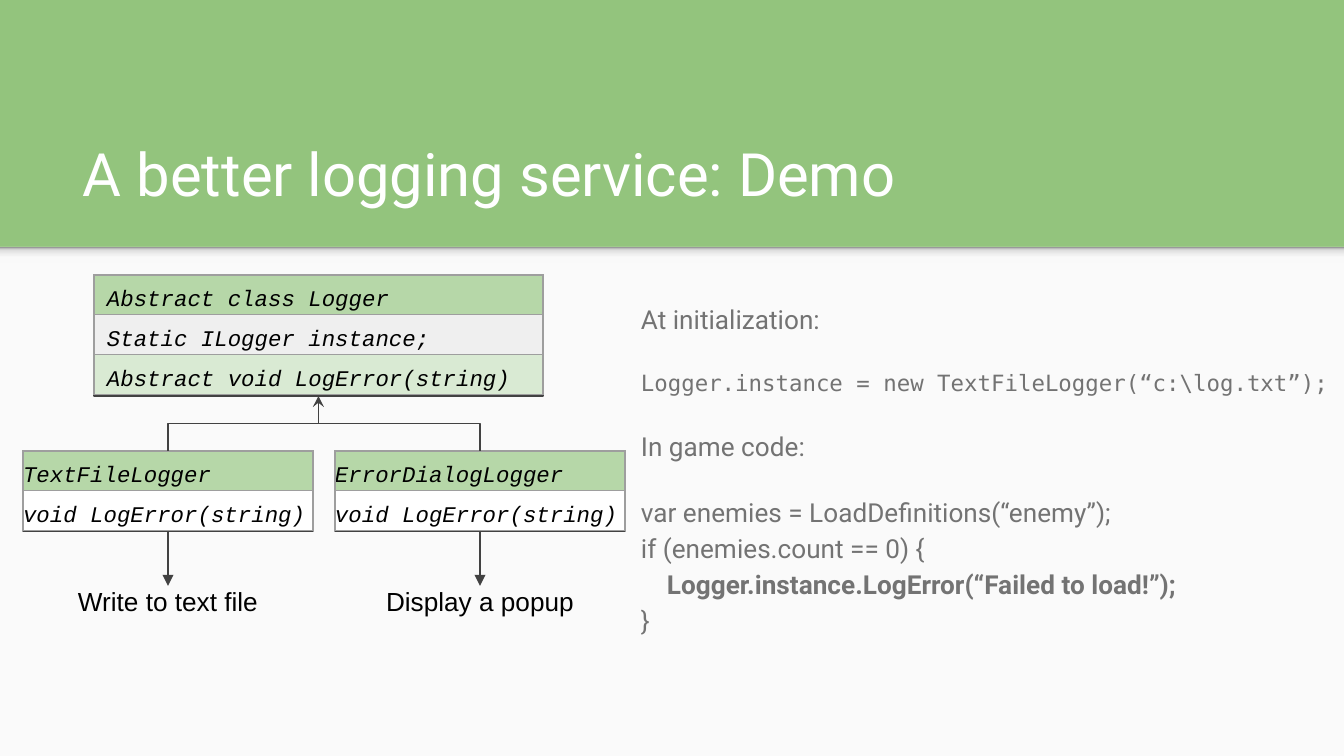
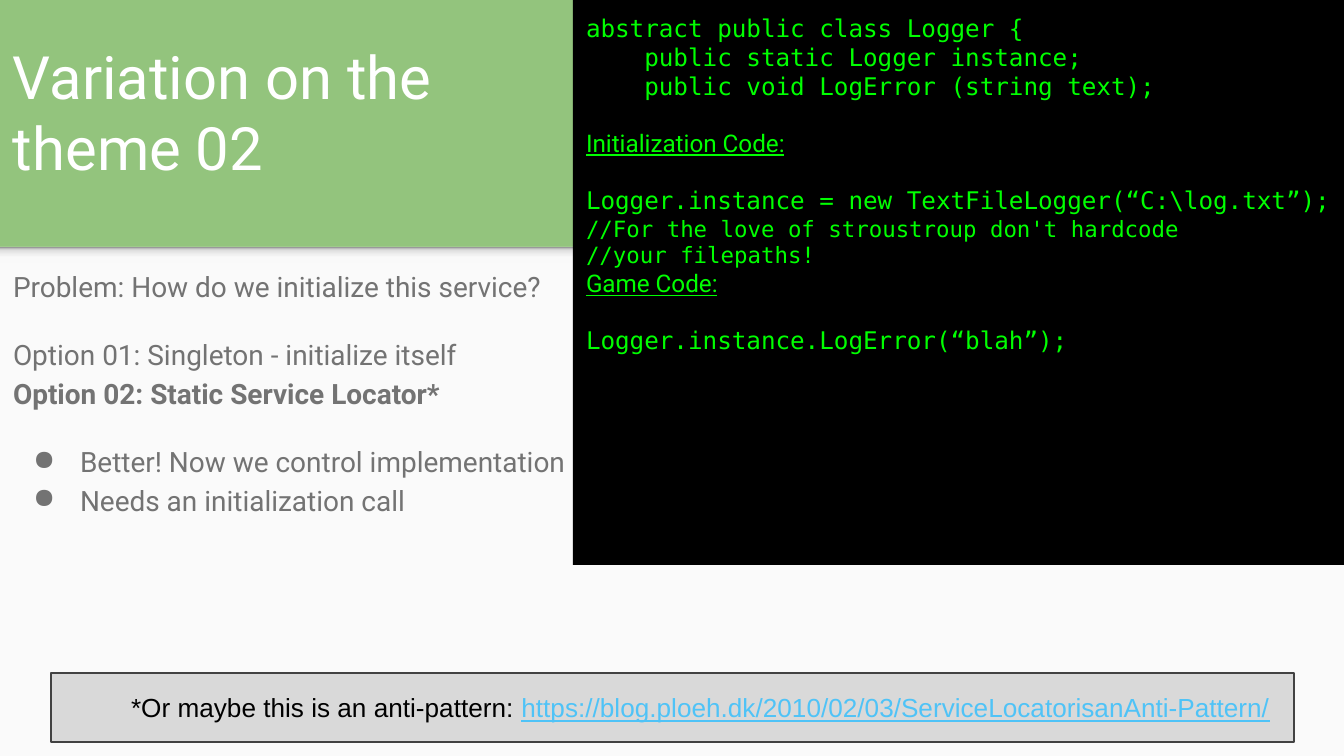
from copy import deepcopy

from lxml import etree
from pptx import Presentation
from pptx import util as u
from pptx.dml.color import RGBColor
from pptx.enum import shapes, text
from pptx.oxml.ns import qn

PX = 914400 / 134.4
WIDTH, HEIGHT = 1344, 756
PANEL_TOP = 247
INSET = 13

GREEN = RGBColor(0x93, 0xC4, 0x7D)
PANEL = RGBColor(0xFA, 0xFA, 0xFA)
WHITE = RGBColor(0xFF, 0xFF, 0xFF)
BLACK = RGBColor(0x00, 0x00, 0x00)
GRAY = RGBColor(0x73, 0x73, 0x73)
DARK = RGBColor(0x42, 0x42, 0x42)
BORDER = RGBColor(0x9E, 0x9E, 0x9E)
HEADER = RGBColor(0xB6, 0xD7, 0xA8)
FIELD = RGBColor(0xEF, 0xEF, 0xEF)
METHOD = RGBColor(0xD9, 0xEA, 0xD3)
NOTE = RGBColor(0xD9, 0xD9, 0xD9)
TERMINAL = RGBColor(0x00, 0xFF, 0x00)
LINK = RGBColor(0x4F, 0xC3, 0xF7)
SHADOW_STOPS = ((0, "F9F9F9"), (36, "F9F9F9"), (80, "DEDEDE"), (100, "999999"))


def style(name, size, color, **more):
    return {"name": name, "size": u.Pt(size), "color": color, **more}


TITLE = style("Roboto", 32, WHITE)
BODY = style("Roboto", 14, GRAY)
BODY_CODE = style("DejaVu Sans Mono", 12, GRAY)
OPTIONS = style("Roboto", 15, GRAY)
MEMBER = style("Courier New", 12, BLACK, italic=True)
LABEL = style("Arial", 14, BLACK)
CODE = style("DejaVu Sans Mono", 13, TERMINAL)
COMMENT = style("DejaVu Sans Mono", 12, TERMINAL)
CODE_HEADING = style("Roboto", 13, TERMINAL, underline=True)


def px(value):
    return u.Emu(round(value * PX))


def add_xml(parent, tag, **attributes):
    return etree.SubElement(parent, qn(tag), {k: str(v) for k, v in attributes.items()})


def set_all(target, values):
    for name, value in values.items():
        setattr(target, name, value)


# Text
def add_run(paragraph, words, font):
    for index, line in enumerate(words.split("\n")):
        if index:
            paragraph.add_line_break()
            paragraph._p[-1].append(deepcopy(run._r.rPr))
        run = paragraph.add_run()
        run.text = line
        for name, value in font.items():
            if name == "color":
                run.font.color.rgb = value
            else:
                setattr(run.font, name, value)


def para(*runs, bullet=None, indent=None, **layout):
    return {"runs": runs, "bullet": bullet, "indent": indent, "layout": layout}


def write(frame, paragraphs, anchor=text.MSO_ANCHOR.TOP):
    set_all(frame, {"word_wrap": True, "vertical_anchor": anchor,
                    "margin_left": px(INSET), "margin_right": px(INSET),
                    "margin_top": px(INSET), "margin_bottom": px(INSET)})
    for index, item in enumerate(paragraphs):
        paragraph = frame.add_paragraph() if index else frame.paragraphs[0]
        props = paragraph._p.get_or_add_pPr()
        if item["indent"]:
            left, first = item["indent"]
            props.set("marL", str(px(left)))
            props.set("indent", str(px(first)))
        if item["bullet"]:
            add_xml(add_xml(props, "a:buClr"), "a:srgbClr", val=GRAY)
            add_xml(props, "a:buChar", char=item["bullet"])
        set_all(paragraph, {"alignment": text.PP_ALIGN.LEFT, **item["layout"]})
        for words, font in item["runs"]:
            add_run(paragraph, words, font)


def add_text(slide, box, paragraphs, anchor=text.MSO_ANCHOR.TOP):
    holder = slide.shapes.add_textbox(*map(px, box))
    write(holder.text_frame, paragraphs, anchor)
    return holder


# Shapes and lines
def add_rect(slide, box, fill=None, outlined=False):
    rect = slide.shapes.add_shape(shapes.MSO_SHAPE.RECTANGLE, *map(px, box))
    rect.shadow.inherit = False
    if fill is not None:
        rect.fill.solid()
        rect.fill.fore_color.rgb = fill
    if outlined:
        rect.line.color.rgb = DARK
        rect.line.width = u.Pt(0.75)
    else:
        rect.line.fill.background()
    return rect


def join(slide, kind, start, end, head=None):
    """Run a line from the bottom or top of start to the facing side of end."""
    downward = start.top < end.top
    link = slide.shapes.add_connector(kind, 0, 0, 0, 0)
    link.begin_connect(start, 2 if downward else 0)
    link.end_connect(end, 0 if downward else 2)
    link.line.color.rgb = DARK
    link.line.width = u.Pt(0.75)
    if head:
        add_xml(link.line._get_or_add_ln(), "a:tailEnd", type=head)
    add_xml(link._element.spPr, "a:effectLst")
    return link


def join_upward(slide, child, parent, head=None):
    """Elbow that leaves the child vertically, turned a quarter to do so."""
    link = join(slide, shapes.MSO_CONNECTOR.ELBOW, child, parent, head)
    x1, y1, x2, y2 = link.begin_x, link.begin_y, link.end_x, link.end_y
    rise, run = abs(y2 - y1), abs(x2 - x1)
    set_all(link, {"left": (x1 + x2 - rise) // 2, "top": (y1 + y2 - run) // 2,
                   "width": rise, "height": run})
    turn = link._element.spPr.find(qn("a:xfrm"))
    for name in ("flipH", "flipV"):
        turn.attrib.pop(name, None)
    turn.set("rot", str((270 if x1 < x2 else 90) * 60000))
    if x1 > x2:
        turn.set("flipH", "1")


# Class tables
def add_class(slide, box, members, row_heights, inset):
    backing = add_rect(slide, box, GRAY, outlined=True)
    left, top, width, _ = box
    grid = slide.shapes.add_table(
        len(members), 1, *map(px, (left, top, width, sum(row_heights)))).table
    set_all(grid, {"first_row": False, "horz_banding": False})
    for index, (member, fill) in enumerate(members):
        grid.rows[index].height = px(row_heights[index])
        cell = grid.cell(index, 0)
        write(cell.text_frame, [para((member, MEMBER))])
        set_all(cell, {"margin_left": px(inset), "margin_right": px(inset),
                       "margin_top": px(INSET), "margin_bottom": 0})
        props = cell._tc.get_or_add_tcPr()
        for side in ("L", "R", "T", "B"):
            edge = add_xml(props, f"a:ln{side}", w=u.Pt(0.75))
            add_xml(add_xml(edge, "a:solidFill"), "a:srgbClr", val=BORDER)
        cell.fill.solid()
        cell.fill.fore_color.rgb = fill
    return backing


# Shared slide frame
def add_slide(deck, title, title_box):
    slide = deck.slides.add_slide(deck.slide_layouts[6])
    slide.background.fill.solid()
    slide.background.fill.fore_color.rgb = GREEN
    add_rect(slide, (0, PANEL_TOP, WIDTH, HEIGHT - PANEL_TOP), PANEL)
    shade = add_rect(slide, (0, PANEL_TOP, WIDTH, 16))
    shade.fill.gradient()
    shade.fill.gradient_angle = 90
    stops = shade._element.spPr.find(".//" + qn("a:gsLst"))
    stops.clear()
    for position, color in SHADOW_STOPS:
        add_xml(add_xml(stops, "a:gs", pos=position * 1000), "a:srgbClr", val=color)
    add_text(slide, title_box, [para((title, TITLE))], text.MSO_ANCHOR.BOTTOM)
    return slide


def add_demo(deck):
    slide = add_slide(deck, "A better logging service: Demo", (70, 109, 1208, 113))

    # Usage on the right
    spaced = {"line_spacing": 1.15, "space_before": u.Pt(16)}
    add_text(slide, (628, 286, 716, 398), [
        para(("At initialization:", BODY), line_spacing=1.15),
        para(("Logger.instance = new TextFileLogger(“c:\\log.txt”);", BODY_CODE), **spaced),
        para(("In game code:", BODY), **spaced),
        para(("var enemies = LoadDefinitions(“enemy”);\nif (enemies.count == 0) {\n    ", BODY),
             ("Logger.instance.LogError(“Failed to load!”);\n", {**BODY, "bold": True}),
             ("}", BODY), **spaced),
    ])

    # Base class, then each subclass with its effect
    logger = add_class(slide, (94, 275, 449, 121), [
        ("Abstract class Logger", HEADER),
        ("Static ILogger instance;", FIELD),
        ("Abstract void LogError(string)", METHOD),
    ], (39, 40, 39), INSET)
    subclasses = (("TextFileLogger", "Write to text file", None),
                  ("ErrorDialogLogger", "Display a popup", "stealth"))
    for index, (name, effect, head) in enumerate(subclasses):
        left = 23 + 312 * index
        subclass = add_class(slide, (left, 451, 290, 80), [
            (name, HEADER), ("void LogError(string)", WHITE)], (39, 39), 0)
        outcome = add_text(slide, (left, 586, 290, 31), [
            para((effect, LABEL), alignment=text.PP_ALIGN.CENTER)],
            text.MSO_ANCHOR.MIDDLE)
        join_upward(slide, subclass, logger, head)
        join(slide, shapes.MSO_CONNECTOR.STRAIGHT, subclass, outcome, "triangle")


def add_variation(deck):
    slide = add_slide(deck, "Variation on the theme 02", (0, 0, 625, 196))

    # Options
    loose = {"line_spacing": 1.15, "space_before": u.Pt(16)}
    bulleted = {"bullet": "●", "indent": (67, -47)}
    add_text(slide, (0, 251, 657, 442), [
        para(("Problem: How do we initialize this service?", OPTIONS), line_spacing=1.15),
        para(("Option 01: Singleton - initialize itself\n", OPTIONS),
             ("Option 02: Static Service Locator*", {**OPTIONS, "bold": True}), **loose),
        para(("Better! Now we control implementation", OPTIONS), **bulleted, **loose),
        para(("Needs an initialization call", OPTIONS), **bulleted, line_spacing=1.15),
    ])

    # Code panel
    blank_line = {"space_before": u.Pt(15)}
    terminal = add_rect(slide, (573, 0, 771, 565), BLACK)
    write(terminal.text_frame, [
        para(("abstract public class Logger {\n"
              "    public static Logger instance;\n"
              "    public void LogError (string text);", CODE)),
        para(("Initialization Code:", CODE_HEADING), **blank_line),
        para(("Logger.instance = new TextFileLogger(“C:\\log.txt”);", CODE), **blank_line),
        para(("//For the love of stroustroup don't hardcode", COMMENT)),
        para(("//your filepaths!\n", COMMENT), ("Game Code:", CODE_HEADING)),
        para(("Logger.instance.LogError(“blah”);", CODE), **blank_line),
    ])

    # Footnote
    footnote = add_rect(slide, (51, 673, 1243, 69), NOTE, outlined=True)
    write(footnote.text_frame, [
        para(("*Or maybe this is an anti-pattern: ", LABEL),
             ("https://blog.ploeh.dk/2010/02/03/ServiceLocatorisanAnti-Pattern/",
              {**LABEL, "color": LINK, "underline": True}), indent=(67, 0)),
    ], text.MSO_ANCHOR.MIDDLE)


def main():
    deck = Presentation()
    deck.slide_width, deck.slide_height = px(WIDTH), px(HEIGHT)
    add_demo(deck)
    add_variation(deck)
    deck.save("out.pptx")


if __name__ == "__main__":
    main()
